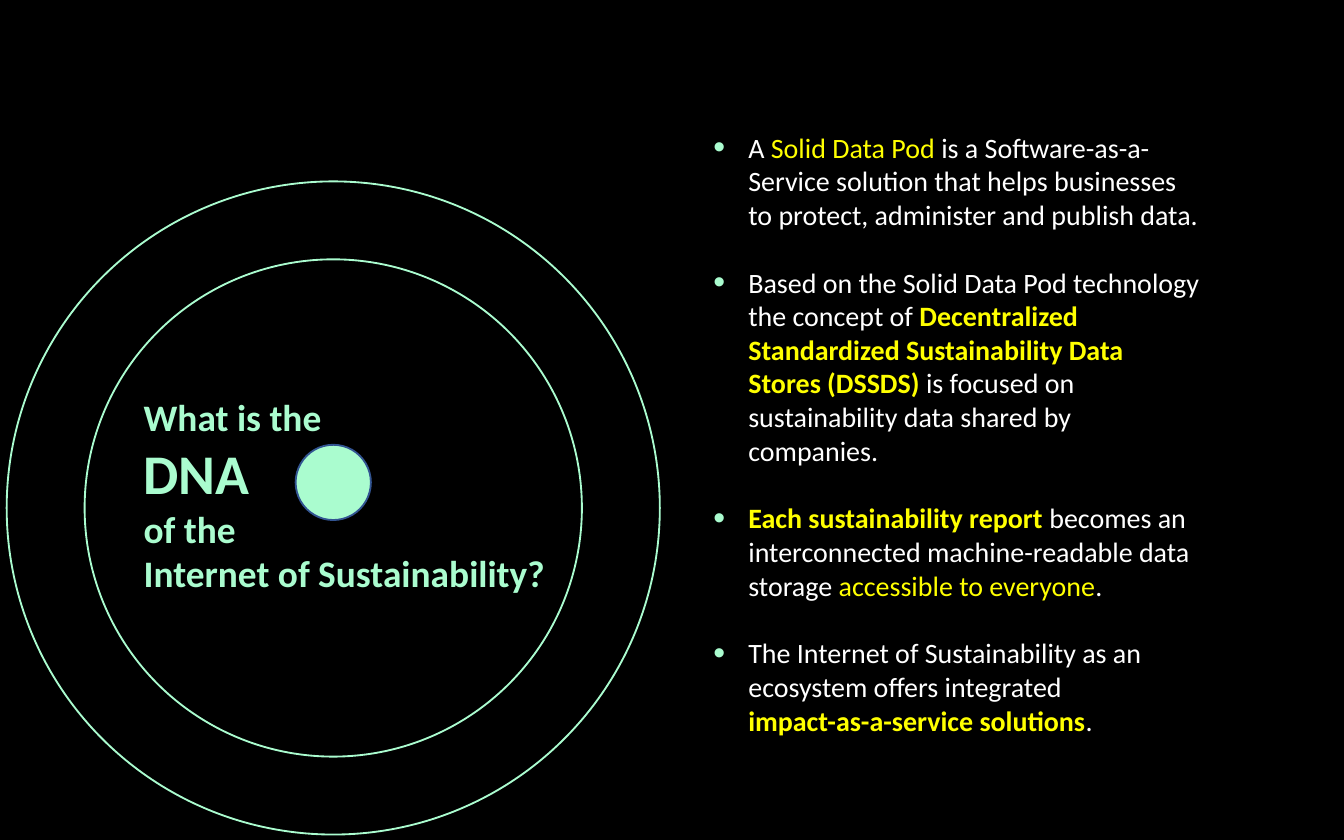
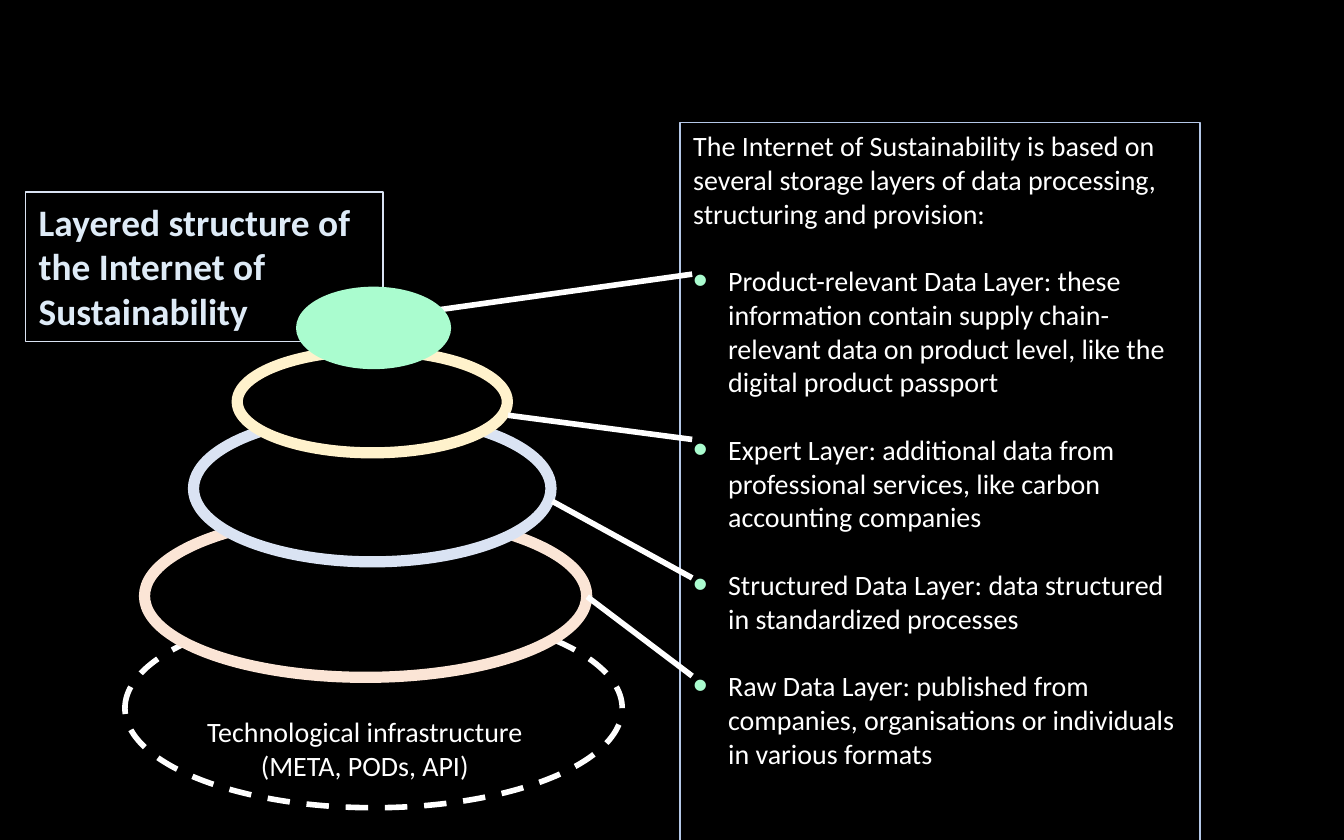
"""Build two slides on Solid Data Pods and the layers of the Internet of Sustainability."""
import dataclasses

import pptx
import pptx.dml.color
import pptx.enum.dml
import pptx.enum.shapes
import pptx.enum.text
import pptx.oxml
import pptx.oxml.ns
import pptx.util


@dataclasses.dataclass(frozen=True)
class Theme:
    black: str = "000000"
    white: str = "FFFFFF"
    yellow: str = "FFFF00"
    mint: str = "AAFCCF"
    navy: str = "325491"
    ice: str = "DEEBF7"
    steel: str = "B4C7E7"
    raw: str = "FBE5D6"
    structured: str = "DAE3F3"
    expert: str = "FFF2CC"
    font: str = "Calibri"
    body: int = 15
    title: int = 20
    display: int = 30
    paragraph_gap: float = 18.3
    hanging_indent: float = 0.26


theme = Theme()
styles = {
    "plain": (theme.body, False, theme.white),
    "bright": (theme.body, False, theme.yellow),
    "strong": (theme.body, True, theme.yellow),
    "question": (theme.title, True, theme.mint),
    "display": (theme.display, True, theme.mint),
    "heading": (theme.title, True, theme.ice),
}
ovals = pptx.enum.shapes.MSO_SHAPE.OVAL
panels = pptx.enum.shapes.MSO_SHAPE.RECTANGLE
rgb = pptx.dml.color.RGBColor.from_string

deck = pptx.Presentation()
deck.slide_width = pptx.util.Inches(10)
deck.slide_height = pptx.util.Inches(6.25)
column = deck.slide_width / 100
row = deck.slide_height / 62.5


def draw(slide, kind, left, top, width, height, fill=None, line=None, weight=1, opacity=None):
    """Place a preset shape on the grid of columns and rows."""
    shape = slide.shapes.add_shape(
        kind, round(left * column), round(top * row), round(width * column), round(height * row))
    shape.shadow.inherit = False
    if fill:
        shape.fill.solid()
        shape.fill.fore_color.rgb = rgb(fill)
    else:
        shape.fill.background()
    if opacity:
        tint = shape.fill._xPr.find(".//" + pptx.oxml.ns.qn("a:srgbClr"))
        tint.append(pptx.oxml.parse_xml(
            f'<a:alpha {pptx.oxml.ns.nsdecls("a")} val="{opacity * 1000}"/>'))
    if line:
        shape.line.color.rgb = rgb(line)
        shape.line.width = pptx.util.Pt(weight)
    else:
        shape.line.fill.background()
    return shape


def write(shape, paragraphs, bullet_size=None, plain_lines=0, gap=0, centred=False, wrap=True):
    """Fill a shape with styled runs, bulleted after the plain lines if a bullet size is given."""
    frame_format = {"word_wrap": wrap, "vertical_anchor": pptx.enum.text.MSO_ANCHOR.TOP}
    for name, value in frame_format.items():
        setattr(shape.text_frame, name, value)
    align = pptx.enum.text.PP_ALIGN
    for index, runs in enumerate(paragraphs):
        paragraph = shape.text_frame.paragraphs[0] if index == 0 else shape.text_frame.add_paragraph()
        if bullet_size and index >= plain_lines:
            properties = paragraph._p.get_or_add_pPr()
            indent = pptx.util.Inches(theme.hanging_indent)
            properties.set("marL", str(indent))
            properties.set("indent", str(-indent))
            for mark in (f'<a:buClr {{}}><a:srgbClr val="{theme.mint}"/></a:buClr>',
                         f'<a:buSzPct {{}} val="{bullet_size * 1000}"/>',
                         '<a:buFont {} typeface="Arial"/>',
                         '<a:buChar {} char="•"/>'):
                properties.append(pptx.oxml.parse_xml(mark.format(pptx.oxml.ns.nsdecls("a"))))
        paragraph.alignment = align.CENTER if centred else align.LEFT
        if index and gap:
            paragraph.space_before = pptx.util.Pt(gap)
        for words, style in runs:
            if words == "\n":
                paragraph.add_line_break()
                continue
            size, bold, colour = styles[style]
            run = paragraph.add_run()
            run.text = words
            font_format = {"name": theme.font, "size": pptx.util.Pt(size), "bold": bold}
            for name, value in font_format.items():
                setattr(run.font, name, value)
            run.font.color.rgb = rgb(colour)


question_slide, layers_slide = (deck.slides.add_slide(deck.slide_layouts[6]) for _ in range(2))
for slide in (question_slide, layers_slide):
    slide.background.fill.solid()
    slide.background.fill.fore_color.rgb = rgb(theme.black)

answers = question_slide.shapes.add_textbox(
    round(52.1 * column), round(9.2 * row), round(38.2 * column), round(49 * row))
write(answers, [
    [("A ", "plain"), ("Solid Data Pod ", "bright"),
     ("is a Software-as-a-Service solution that helps businesses to protect, "
      "administer and publish data.", "plain")],
    [("Based on the Solid Data Pod technology the concept of ", "plain"),
     ("Decentralized Standardized Sustainability Data Stores (DSSDS)", "strong"),
     (" is focused on sustainability data shared by companies.", "plain")],
    [("Each sustainability report ", "strong"),
     ("becomes an interconnected machine-readable data storage ", "plain"),
     ("accessible to everyone", "bright"), (".", "plain")],
    [("The Internet of Sustainability as an ecosystem offers integrated ", "plain"),
     ("\n", "plain"), ("impact-as-a-service solutions", "strong"), (".", "plain")],
], bullet_size=121, gap=theme.paragraph_gap)

question = draw(question_slide, panels, 9.7, 28.8, 32.1, 16.2, theme.black, opacity=62)
write(question, [
    [("What is the", "question")],
    [("DNA", "display")],
    [("of the", "question")],
    [("Internet of Sustainability?", "question")],
])

for middle, diameter, fill, line in (
        (37.8, 48.6, None, theme.mint),
        (37.8, 37, None, theme.mint),
        (35.9, 5.6, theme.mint, theme.navy)):
    draw(question_slide, ovals, 24.8 - diameter / 2, middle - diameter / 2,
         diameter, diameter, fill, line)

for centre, middle, width, height, line, weight in (
        (27.8, 52.7, 37, 14.8, theme.white, 3),
        (27.2, 44.35, 32.9, 12.1, theme.raw, 6),
        (27.7, 36.35, 26.6, 10.9, theme.structured, 6),
        (27.7, 29.9, 20.1, 7.6, theme.expert, 6)):
    layer = draw(layers_slide, ovals, centre - width / 2, middle - height / 2,
                 width, height, theme.black, line, weight)
    if line == theme.white:
        layer.line.dash_style = pptx.enum.dml.MSO_LINE.DASH

explanation = draw(layers_slide, panels, 50.6, 9.1, 38.7, 56.5, line=theme.steel, weight=0.75)
write(explanation, [[(words, "plain")] for words in (
    "The Internet of Sustainability is based on several storage layers of data processing, "
    "structuring and provision:",
    "Product-relevant Data Layer: these information contain supply chain-relevant data on "
    "product level, like the digital product passport",
    "Expert Layer: additional data from professional services, like carbon accounting companies",
    "Structured Data Layer: data structured in standardized processes",
    "Raw Data Layer: published from companies, organisations or individuals in various formats",
)], bullet_size=148, plain_lines=1, gap=theme.paragraph_gap)

infrastructure = layers_slide.shapes.add_textbox(
    round(14.3 * column), round(52.7 * row), round(25.7 * column), round(6.1 * row))
write(infrastructure, [[("Technological infrastructure", "plain")],
                       [("(META, PODs, API)", "plain")]], centred=True, wrap=False)

heading = draw(layers_slide, panels, 1.9, 14.3, 26.6, 11.1, theme.black,
               theme.structured, 0.75, opacity=62)
write(heading, [[("Layered structure of the Internet of Sustainability", "heading")]])

for text_row, layer_column, layer_row in (
        (20.4, 31.6, 23.2), (32.7, 37.8, 30.9), (43, 41.1, 37.3), (50.3, 43.7, 44.4)):
    pointer = layers_slide.shapes.add_connector(
        pptx.enum.shapes.MSO_CONNECTOR.STRAIGHT, round(51.5 * column), round(text_row * row),
        round(layer_column * column), round(layer_row * row))
    pointer.line.color.rgb = rgb(theme.white)
    pointer.line.width = pptx.util.Pt(3)
    pointer._element.spPr.append(pptx.oxml.parse_xml(
        f'<a:effectLst {pptx.oxml.ns.nsdecls("a")}/>'))

draw(layers_slide, ovals, 22.1, 21.4, 11.4, 6, theme.mint, theme.mint)

deck.save("out.pptx")
